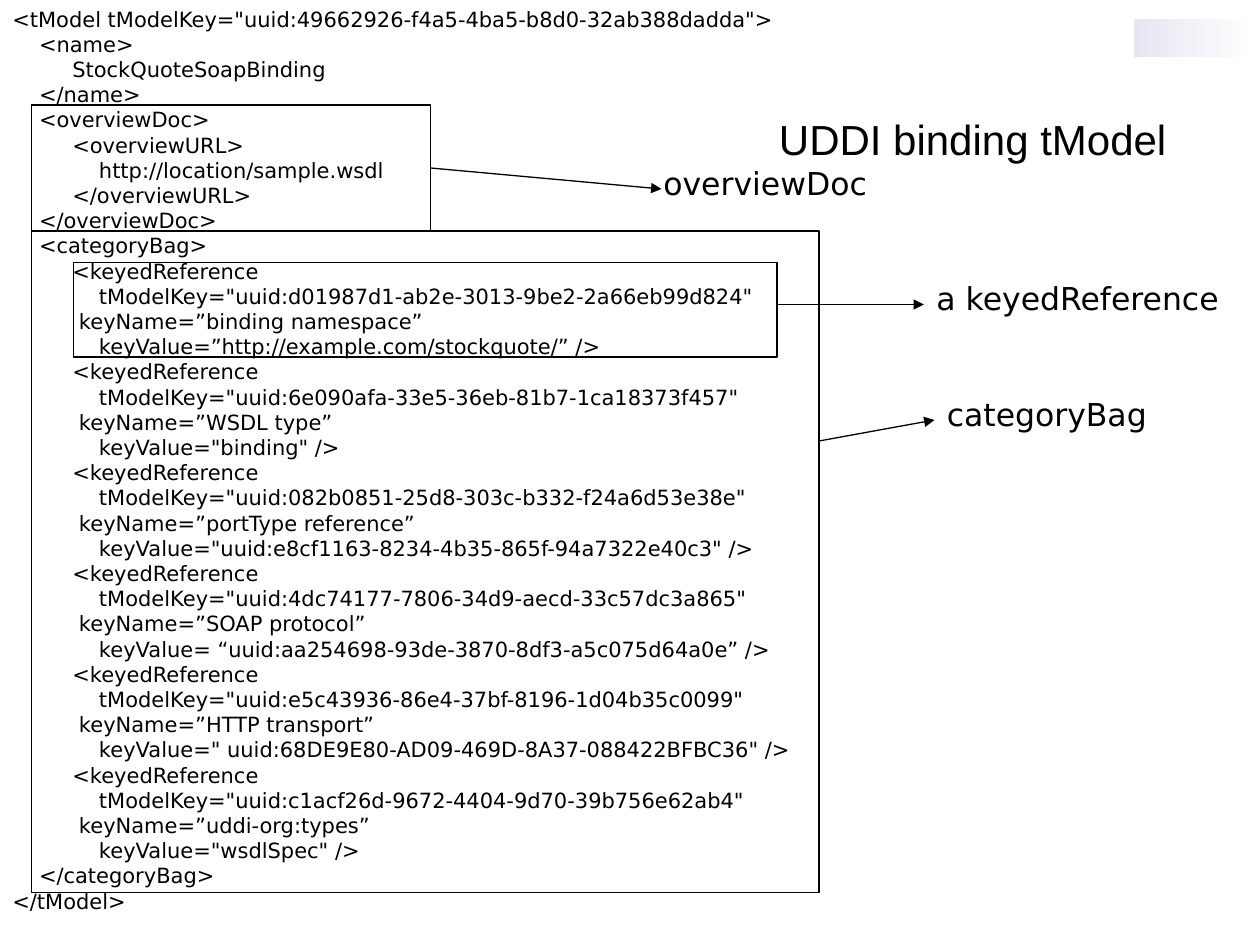
from typing import NamedTuple

from lxml.etree import SubElement
from pptx import Presentation
from pptx.dml.color import RGBColor
from pptx.enum.shapes import MSO_CONNECTOR, MSO_SHAPE
from pptx.enum.text import MSO_ANCHOR
from pptx.oxml.ns import qn
from pptx.util import Inches, Pt

BLACK = RGBColor(0x00, 0x00, 0x00)
WHITE = RGBColor(0xFF, 0xFF, 0xFF)
NAVY = RGBColor(0x00, 0x00, 0x7D)
CODE_FONT = "DejaVu Sans"
TITLE_FONT = "Arial"
COLUMNS, ROWS = 120, 90
CELL = Inches(10) / COLUMNS
CODE_LINE = Pt(14.4)

KEYED_REFERENCES = [
    ("d01987d1-ab2e-3013-9be2-2a66eb99d824", "binding namespace", "”http://example.com/stockquote/”"),
    ("6e090afa-33e5-36eb-81b7-1ca18373f457", "WSDL type", '"binding"'),
    ("082b0851-25d8-303c-b332-f24a6d53e38e", "portType reference", '"uuid:e8cf1163-8234-4b35-865f-94a7322e40c3"'),
    ("4dc74177-7806-34d9-aecd-33c57dc3a865", "SOAP protocol", " “uuid:aa254698-93de-3870-8df3-a5c075d64a0e”"),
    ("e5c43936-86e4-37bf-8196-1d04b35c0099", "HTTP transport", '" uuid:68DE9E80-AD09-469D-8A37-088422BFBC36"'),
    ("c1acf26d-9672-4404-9d70-39b756e62ab4", "uddi-org:types", '"wsdlSpec"'),
]

KEYED_REFERENCE = """\
         <keyedReference
             tModelKey="uuid:{key}"
          keyName=”{name}”
             keyValue={value} />"""

TMODEL = """\
<tModel tModelKey="uuid:49662926-f4a5-4ba5-b8d0-32ab388dadda">
    <name>
         StockQuoteSoapBinding
    </name>
    <overviewDoc>
         <overviewURL>
             http://location/sample.wsdl
         </overviewURL>
    </overviewDoc>
    <categoryBag>
{references}
    </categoryBag>
</tModel>"""


class Box(NamedTuple):
    left: float
    top: float
    width: float
    height: float

    def emu(self):
        return [cells(value) for value in self]


CALLOUTS = [
    ("a keyedReference", Box(7, 25, 67, 9), Box(88, 26, 32, 4.8), (74, 29), (88, 29)),
    ("categoryBag", Box(3, 22, 75, 63), Box(89, 37, 25, 4.8), (78, 42), (89, 40)),
    ("overviewDoc", Box(3, 10, 38, 12), Box(62, 15, 22, 4.8), (41, 16), (63, 18)),
]


def cells(count):
    return round(count * CELL)


def add_rectangle(slide, box):
    shape = slide.shapes.add_shape(MSO_SHAPE.RECTANGLE, *box.emu())
    shape.shadow.inherit = False
    shape.fill.background()
    shape.line.fill.background()
    return shape


def set_font(paragraph, name, size):
    paragraph.font.name = name
    paragraph.font.size = Pt(size)
    paragraph.font.color.rgb = BLACK


def add_text(slide, box, text, name, size):
    shape = slide.shapes.add_textbox(*box.emu())
    shape.text_frame.word_wrap = True
    paragraph = shape.text_frame.paragraphs[0]
    paragraph.text = text
    set_font(paragraph, name, size)
    return shape


def add_gradient_strip(slide, box):
    strip = add_rectangle(slide, box)
    strip.fill.gradient()
    strip.fill.gradient_angle = 0
    for stop, position, color in zip(strip.fill.gradient_stops, (0, 1), (NAVY, WHITE)):
        stop.position = position
        stop.color.rgb = color


def add_code_panel(slide, box):
    references = "\n".join(
        KEYED_REFERENCE.format(key=key, name=name, value=value)
        for key, name, value in KEYED_REFERENCES
    )
    panel = add_text(slide, box, TMODEL.format(references=references), CODE_FONT, 12)
    panel.fill.solid()
    panel.fill.fore_color.rgb = WHITE
    for paragraph in panel.text_frame.paragraphs:
        paragraph.line_spacing = CODE_LINE
        set_font(paragraph, CODE_FONT, 12)


def add_outline(slide, box):
    outline = add_rectangle(slide, box)
    outline.line.color.rgb = BLACK
    outline.line.width = Pt(0.75)


def add_arrow(slide, start, end):
    points = [cells(value) for value in start + end]
    arrow = slide.shapes.add_connector(MSO_CONNECTOR.STRAIGHT, *points)
    arrow.line.color.rgb = BLACK
    arrow.line.width = Pt(0.75)
    SubElement(arrow.line._get_or_add_ln(), qn("a:tailEnd"), type="triangle")
    SubElement(arrow._element.spPr, qn("a:effectLst"))


def add_callout(slide, label, outline_box, label_box, start, end):
    add_outline(slide, outline_box)
    add_text(slide, label_box, label, CODE_FONT, 18)
    add_arrow(slide, start, end)


def add_title(slide, box):
    frame = add_text(slide, box, "UDDI binding tModel", TITLE_FONT, 24).text_frame
    frame.vertical_anchor = MSO_ANCHOR.MIDDLE
    frame.margin_top = round(cells(box.height) * 0.31)


def main():
    presentation = Presentation()
    presentation.slide_width = cells(COLUMNS)
    presentation.slide_height = cells(ROWS)
    slide = presentation.slides.add_slide(presentation.slide_layouts[6])
    add_gradient_strip(slide, Box(5.4, 1.8, 114.6, 3.6))
    add_code_panel(slide, Box(0, 0, 108, 87.6))
    for callout in CALLOUTS:
        add_callout(slide, *callout)
    add_title(slide, Box(73, 6.4, 40, 10.8))
    presentation.save("out.pptx")


if __name__ == "__main__":
    main()
